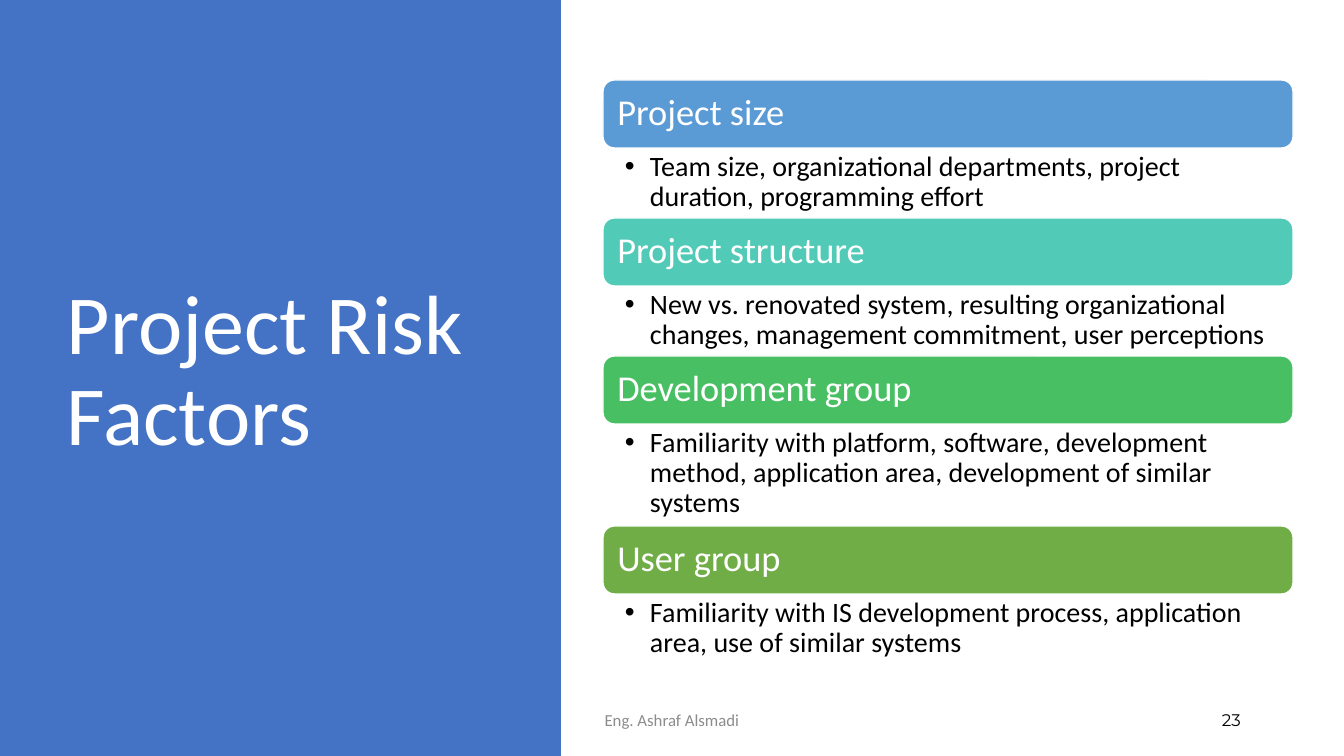
from lxml.etree import SubElement
from pptx import Presentation
from pptx.dml.color import RGBColor
from pptx.enum.shapes import MSO_SHAPE
from pptx.enum.text import MSO_ANCHOR, MSO_AUTO_SIZE, PP_ALIGN
from pptx.oxml.ns import qn
from pptx.util import Emu, Pt

WHITE = RGBColor(0xFF, 0xFF, 0xFF)
BLACK = RGBColor(0x00, 0x00, 0x00)
GRAY = RGBColor(0x8C, 0x8C, 0x8C)
PANEL_BLUE = RGBColor(0x44, 0x72, 0xC4)
SKY_BLUE = RGBColor(0x5B, 0x9B, 0xD5)
TEAL = RGBColor(0x52, 0xCA, 0xB8)
GREEN = RGBColor(0x49, 0xBF, 0x64)
OLIVE = RGBColor(0x70, 0xAD, 0x47)

SLIDE_WIDTH, SLIDE_HEIGHT = 1344, 756
EMU_PER_PX = 12192000 / SLIDE_WIDTH

FACTORS_LEFT, FACTORS_TOP, FACTORS_WIDTH = 603, 80, 690
BAR_HEIGHT = 68
RISK_FACTORS = [
    ("Project size", SKY_BLUE, 70,
     "Team size, organizational departments, project duration, programming effort"),
    ("Project structure", TEAL, 70,
     "New vs. renovated system, resulting organizational changes, "
     "management commitment, user perceptions"),
    ("Development group", GREEN, 102,
     "Familiarity with platform, software, development method, "
     "application area, development of similar systems"),
    ("User group", OLIVE, 70,
     "Familiarity with IS development process, application area, "
     "use of similar systems"),
]


def px(length):
    return Emu(round(length * EMU_PER_PX))


class SlideBuilder:
    font_name = "Calibri"
    line_spacing = 0.9

    def __init__(self, slide):
        self.slide = slide

    def set_text(self, shape, text, size, color, align=PP_ALIGN.LEFT,
                 anchor=MSO_ANCHOR.MIDDLE, margins=(10, 5, 10, 5),
                 font_name=None, bullet_indent=0):
        frame = shape.text_frame
        frame.word_wrap = True
        frame.auto_size = MSO_AUTO_SIZE.NONE
        frame.vertical_anchor = anchor
        (frame.margin_left, frame.margin_top,
         frame.margin_right, frame.margin_bottom) = map(px, margins)
        frame.text = text
        paragraph = frame.paragraphs[0]
        paragraph.alignment = align
        paragraph.line_spacing = self.line_spacing
        if bullet_indent:
            properties = paragraph._p.get_or_add_pPr()
            properties.set("marL", str(px(bullet_indent)))
            properties.set("indent", str(-px(bullet_indent)))
            SubElement(properties, qn("a:buFont")).set("typeface", "Arial")
            SubElement(properties, qn("a:buChar")).set("char", "•")
        paragraph.font.name = font_name or self.font_name
        paragraph.font.size = Pt(size)
        paragraph.font.color.rgb = color

    def title(self, text, left, top, width, height):
        shape = self.slide.shapes.title
        shape.left, shape.top = px(left), px(top)
        shape.width, shape.height = px(width), px(height)
        self.set_text(shape, text, 60, WHITE)

    def block(self, kind, fill, left, top, width, height):
        shape = self.slide.shapes.add_shape(
            kind, px(left), px(top), px(width), px(height))
        shape.shadow.inherit = False
        shape.fill.solid()
        shape.fill.fore_color.rgb = fill
        return shape

    def panel(self, width):
        shape = self.block(MSO_SHAPE.RECTANGLE, PANEL_BLUE, 0, 0, width, SLIDE_HEIGHT)
        shape.line.fill.background()
        self.slide.shapes.title.element.addprevious(shape.element)

    def bar(self, text, fill, top):
        shape = self.block(MSO_SHAPE.ROUNDED_RECTANGLE, fill,
                           FACTORS_LEFT, top, FACTORS_WIDTH, BAR_HEIGHT)
        shape.line.color.rgb = WHITE
        shape.line.width = Pt(1)
        self.set_text(shape, text, 26, WHITE, margins=(11, 11, 11, 11))

    def text(self, text, left, top, width, height, size, color, **style):
        shape = self.slide.shapes.add_textbox(px(left), px(top), px(width), px(height))
        self.set_text(shape, text, size, color, **style)


def main():
    presentation = Presentation()
    presentation.slide_width = px(SLIDE_WIDTH)
    presentation.slide_height = px(SLIDE_HEIGHT)
    slide = presentation.slides.add_slide(presentation.slide_layouts.get_by_name("Title Only"))
    builder = SlideBuilder(slide)

    builder.panel(561)
    builder.title("Project Risk Factors", 57, 69, 419, 607)

    top = FACTORS_TOP
    for name, fill, detail_height, detail in RISK_FACTORS:
        builder.bar(name, fill, top)
        top += BAR_HEIGHT
        builder.text(detail, FACTORS_LEFT, top, FACTORS_WIDTH, detail_height, 20, BLACK,
                     anchor=MSO_ANCHOR.TOP, margins=(22, 4, 20, 4), bullet_indent=25)
        top += detail_height

    builder.text("Eng. Ashraf Alsmadi", 445, 701, 454, 40, 12, GRAY, align=PP_ALIGN.CENTER)
    builder.text("23", 949, 701, 302, 40, 12, BLACK,
                 align=PP_ALIGN.RIGHT, font_name="Montserrat")
    presentation.save("out.pptx")


if __name__ == "__main__":
    main()
